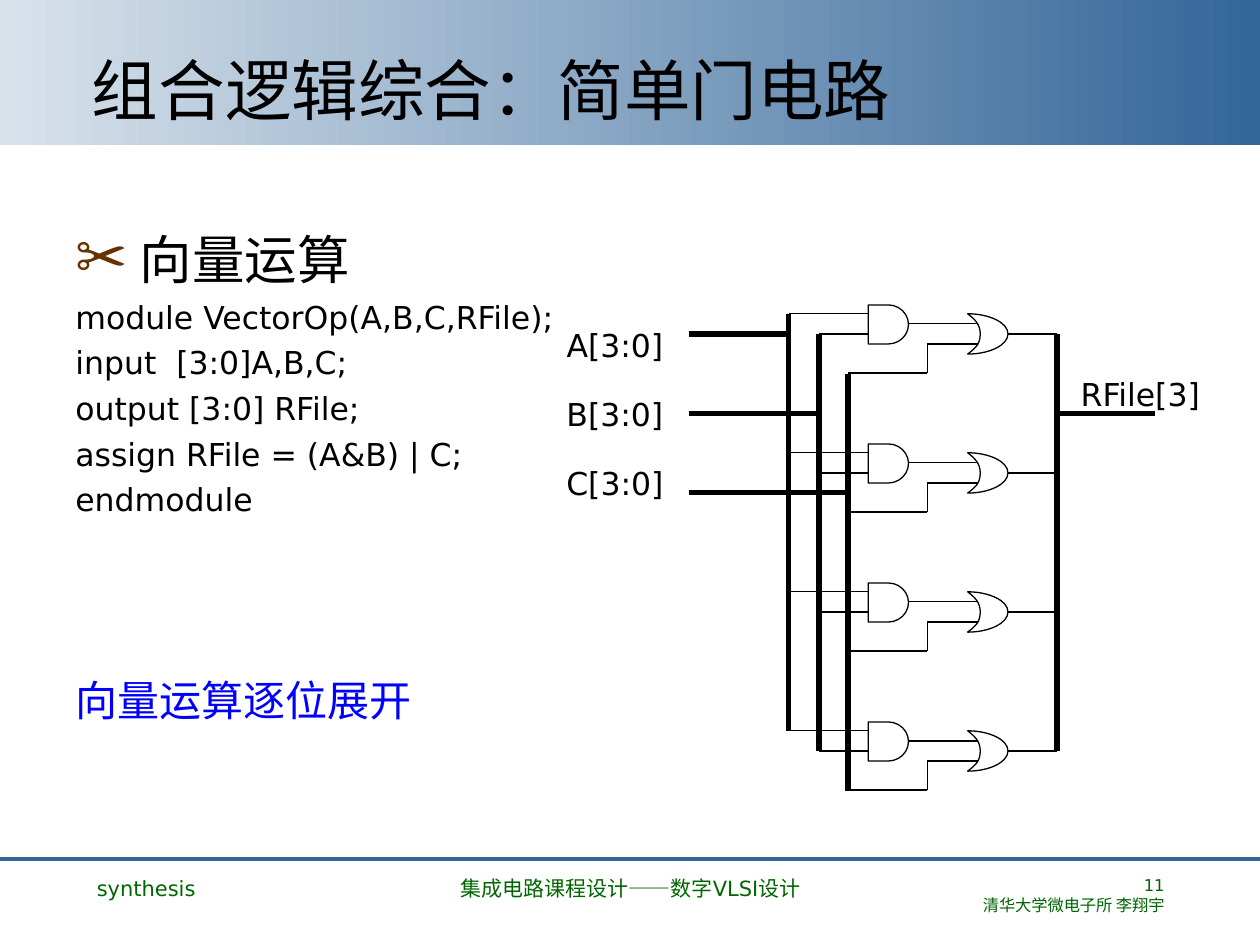
"""Build the slide on synthesising a vector operation into simple gates."""
from typing import NamedTuple

import pptx
import pptx.dml.color
import pptx.enum.shapes
import pptx.enum.text
import pptx.oxml
import pptx.oxml.ns
import pptx.util
from lxml import etree

Inches = pptx.util.Inches
Pt = pptx.util.Pt
qn = pptx.oxml.ns.qn
ALIGN = pptx.enum.text.PP_ALIGN
ANCHOR = pptx.enum.text.MSO_ANCHOR
SHAPE = pptx.enum.shapes.MSO_SHAPE

FONT = "DejaVu Sans"
BLACK, BLUE, GREEN, BROWN, STEEL = "000000", "0000FF", "006600", "663300", "336699"
THIN, BUS = 0.75, 3
A_X, B_X, C_X, OUT_X = 6.26, 6.5, 6.73, 8.39
AND_X, STEP_X, OR_X = 6.89, 7.36, 7.68
TOP, ROWS = 2.49, 4
PITCH = (5.8 - TOP) / (ROWS - 1)
OR_CURVES = [
    [(0.05, 0.28), (0.1, 0.25), (0.1, 0.16)],
    [(0.1, 0.08), (0.05, 0.04), (0, 0)],
    [(0.17, 0), (0.32, 0.07), (0.32, 0.16)],
    [(0.32, 0.25), (0.17, 0.32), (0, 0.32)],
]


class Line(NamedTuple):
    x1: float
    y1: float
    x2: float
    y2: float
    width: float = THIN
    color: str = BLACK


class Para(NamedTuple):
    text: str
    size: float
    color: str = BLACK
    before: float = 0
    bullet: str = ""


class Box(NamedTuple):
    left: float
    top: float
    width: float
    height: float
    paras: list[Para]
    align: ALIGN = ALIGN.LEFT


def rgb(color: str) -> pptx.dml.color.RGBColor:
    return pptx.dml.color.RGBColor.from_string(color)


def add_bullet(p, char: str) -> None:
    pPr = p._p.get_or_add_pPr()
    pPr.set("marL", str(Inches(0.51)))
    pPr.set("indent", str(-Inches(0.51)))
    clr = etree.SubElement(pPr, qn("a:buClr"))
    etree.SubElement(clr, qn("a:srgbClr"), val=BROWN)
    etree.SubElement(pPr, qn("a:buSzPct"), val="120000")
    etree.SubElement(pPr, qn("a:buFont"), typeface=FONT)
    etree.SubElement(pPr, qn("a:buChar"), char=char)


def write(tf, paras: list[Para], align: ALIGN) -> None:
    for i, para in enumerate(paras):
        p = tf.add_paragraph() if i else tf.paragraphs[0]
        if para.bullet:
            add_bullet(p, para.bullet)
        p.alignment = align
        p.space_before = Pt(para.before)
        r = p.add_run()
        r.text = para.text
        r.font.name = FONT
        r.font.size = Pt(para.size)
        r.font.color.rgb = rgb(para.color)


def add_box(s, box: Box):
    sp = s.shapes.add_textbox(*map(Inches, box[:4]))
    tf = sp.text_frame
    tf.word_wrap = True
    write(tf, box.paras, box.align)
    return tf


def add_label(s, left: float, top: float, text: str) -> None:
    tf = add_box(s, Box(left, top, 1.02, 0.47, [Para(text, 18)], ALIGN.CENTER))
    tf.word_wrap = False
    tf.vertical_anchor = ANCHOR.MIDDLE
    tf.margin_left = tf.margin_right = 0


def add_line(s, line: Line) -> None:
    sp = s.shapes.add_connector(
        pptx.enum.shapes.MSO_CONNECTOR.STRAIGHT, *map(Inches, line[:4]))
    sp.line.width = Pt(line.width)
    sp.line.color.rgb = rgb(line.color)
    etree.SubElement(sp.element.spPr, qn("a:effectLst"))


def outline(sp) -> None:
    sp.shadow.inherit = False
    sp.fill.background()
    sp.line.width = Pt(THIN)
    sp.line.color.rgb = rgb(BLACK)


def add_and_gate(s, x: float, y: float) -> None:
    outline(s.shapes.add_shape(
        SHAPE.FLOWCHART_DELAY, Inches(x), Inches(y), Inches(0.32), Inches(0.31)))


def add_or_gate(s, x: float, y: float) -> None:
    fb = s.shapes.build_freeform(Inches(x), Inches(y + 0.32))
    ends = [curve[-1] for curve in OR_CURVES]
    fb.add_line_segments([(Inches(x + dx), Inches(y + dy)) for dx, dy in ends], close=True)
    sp = fb.convert_to_shape()
    segments = list(sp.element.iter(qn("a:lnTo")))
    for segment, curve in zip(segments, OR_CURVES):
        cubic = etree.Element(qn("a:cubicBezTo"))
        for dx, dy in curve:
            etree.SubElement(cubic, qn("a:pt"), x=str(Inches(dx)), y=str(Inches(dy)))
        segment.getparent().replace(segment, cubic)
    outline(sp)


def add_bit(s, y: float) -> None:
    add_and_gate(s, AND_X, y - 0.07)
    add_or_gate(s, OR_X, y)
    for line in (
        Line(A_X, y, AND_X, y),
        Line(B_X, y + 0.16, AND_X, y + 0.16),
        Line(AND_X + 0.32, y + 0.08, OR_X + 0.08, y + 0.08),
        Line(C_X, y + 0.47, STEP_X, y + 0.47),
        Line(STEP_X, y + 0.47, STEP_X, y + 0.24),
        Line(STEP_X, y + 0.24, OR_X + 0.08, y + 0.24),
        Line(OR_X + 0.32, y + 0.16, OUT_X, y + 0.16),
    ):
        add_line(s, line)


def add_header(s, text: str) -> None:
    title = s.shapes.title
    title.left, title.top, title.width, title.height = map(Inches, (0.63, 0.33, 8.75, 0.74))
    title.text_frame.vertical_anchor = ANCHOR.BOTTOM
    title.text_frame.word_wrap = True
    write(title.text_frame, [Para(text, 38)], ALIGN.LEFT)
    band = s.shapes.add_shape(SHAPE.RECTANGLE, 0, 0, Inches(10), Inches(1.15))
    band.shadow.inherit = False
    band.line.fill.background()
    band.fill.gradient()
    band.fill.gradient_angle = 0
    for stop, color in zip(band.fill.gradient_stops, ("D8E2EB", STEEL)):
        stop.color.rgb = rgb(color)
    title.element.addprevious(band.element)


def main() -> None:
    prs = pptx.Presentation()
    prs.slide_width, prs.slide_height = Inches(10), Inches(7.5)
    s = prs.slides.add_slide(prs.slide_layouts[5])
    add_header(s, "组合逻辑综合：简单门电路")
    add_line(s, Line(0, 6.82, 10, 6.82, 2.25, STEEL))

    code = ["module VectorOp(A,B,C,RFile);", "input  [3:0]A,B,C;",
            "output [3:0] RFile;", "assign RFile = (A&B) | C;", "endmodule"]
    body = [Para("向量运算", 30, bullet="✂")]
    body += [Para(text, 18, before=4.5) for text in code]
    body.append(Para("向量运算逐位展开", 24, BLUE, before=89.5))
    add_box(s, Box(0.5, 1.75, 4.49, 5.17, body))

    for i in range(ROWS):
        add_bit(s, TOP + i * PITCH)
    drop = (ROWS - 1) * PITCH
    for x, y in ((A_X, TOP), (B_X, TOP + 0.16), (C_X, TOP + 0.48), (OUT_X, TOP + 0.16)):
        add_line(s, Line(x, y, x, y + drop, BUS))
    for i, (name, x) in enumerate((("A", A_X), ("B", B_X), ("C", C_X))):
        y = 2.65 + i * 0.63
        add_line(s, Line(5.47, y, x, y, BUS))
        add_label(s, 4.37, 2.5 + i * 0.55, f"{name}[3:0]")
    add_line(s, Line(OUT_X, 3.28, 9.17, 3.28, BUS))
    add_label(s, 8.54, 2.89, "RFile[3]")

    for left, width, size, align, texts in (
        (0.67, 2.17, 12, ALIGN.LEFT, ["synthesis"]),
        (3.42, 3.17, 12, ALIGN.CENTER, ["集成电路课程设计——数字VLSI设计"]),
        (7.17, 2.17, 9.3, ALIGN.RIGHT, ["11", "清华大学微电子所 李翔宇"]),
    ):
        add_box(s, Box(left, 6.9, width, 0.45, [Para(t, size, GREEN) for t in texts], align))
    prs.save("out.pptx")


if __name__ == "__main__":
    main()
